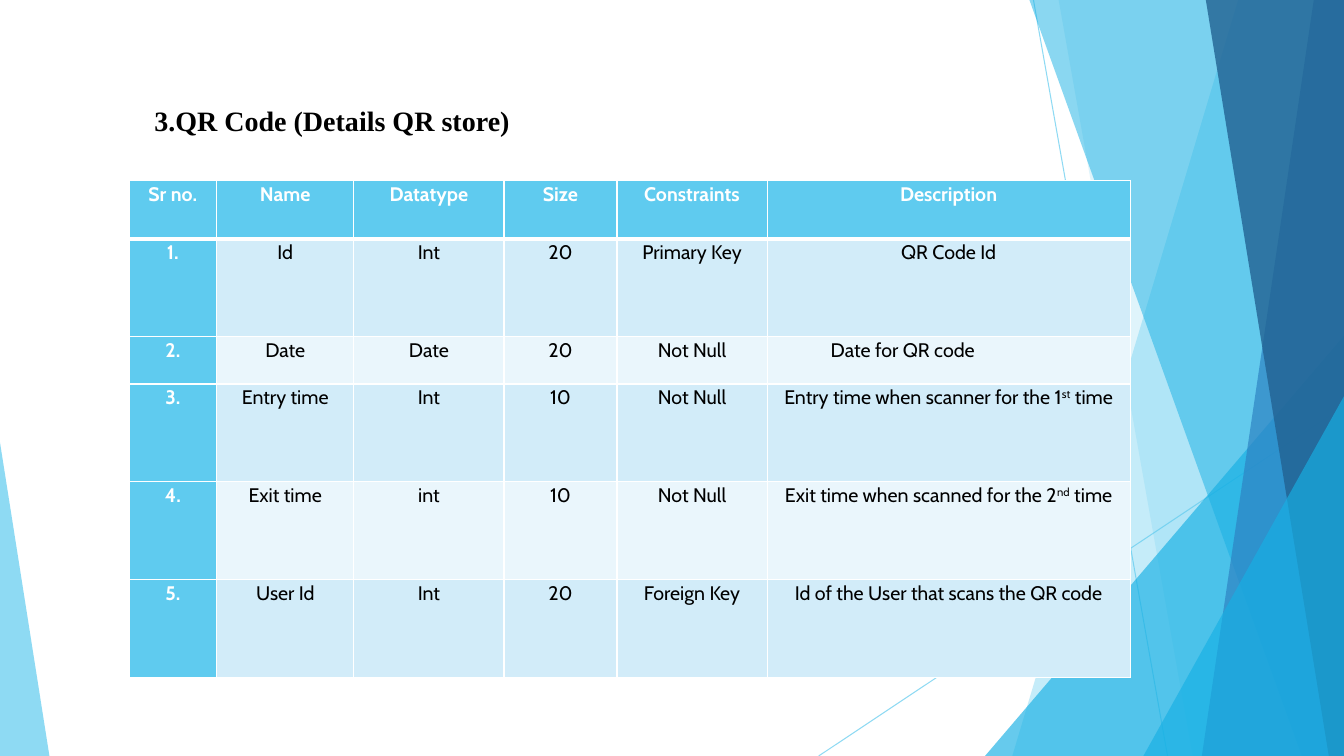
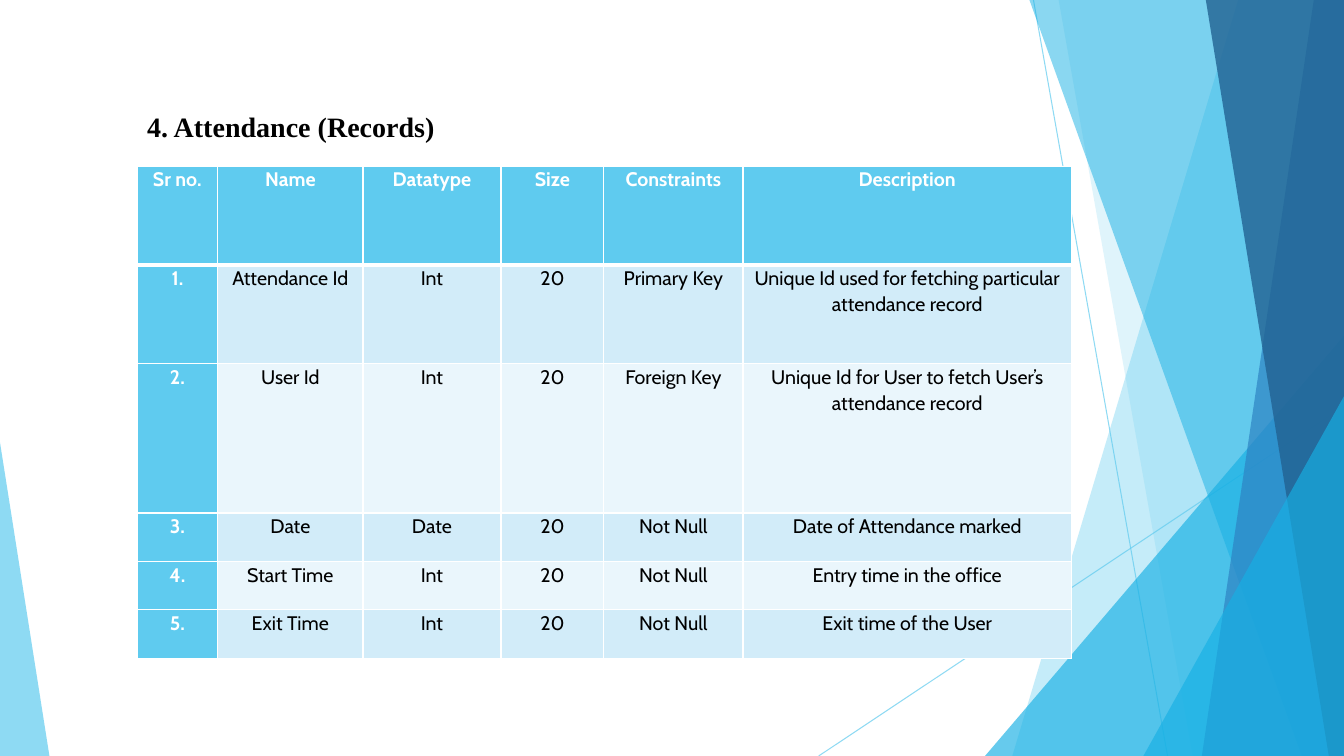
from lxml import etree
from pptx import Presentation
from pptx import util as u
from pptx.dml.color import RGBColor
from pptx.enum import shapes, text
from pptx.oxml.ns import qn

COLORS = {
    "sky": "5FCBEF", "cyan": "17B0E4", "blue": "2E83C3", "navy": "226292",
    "odd": "D2ECF9", "even": "EAF6FC", "white": "FFFFFF", "black": "000000",
}
WIDTH, HEIGHT = 13.33, 7.5

RAYS = [((10.25, 0), (11.58, HEIGHT)), ((WIDTH, 4.03), (8.12, HEIGHT))]
FACETS = [
    ("band", (12.28, 10.04), "sky", 36),
    ("band", (10.5, 11.83), "sky", 20),
    ("triangle", (9.77, 3.33, 3.56, 1), "cyan", 66),
    ("band", (10.21, 12.91), "cyan", 50),
    ("band", (13.03, 11.92), "blue", 70),
    ("band", (11.96, 13.18), "navy", 80),
    ("triangle", (11.34, 3.93, 1.99, 1), "cyan", 66),
    ("triangle", (0, 4.39, 0.49, 0), "sky", 70),
]

HEADINGS = ("Sr no.", "Name", "Datatype", "Size", "Constraints", "Description")
SLIDES = [
    {
        "title": "3.QR Code (Details QR store)",
        "title_at": (1.43, 0.97),
        "table_at": (1.28, 1.79),
        "columns": (0.87, 1.36, 1.49, 1.12, 1.49, 3.6),
        "heights": (0.58, 0.97, 0.47, 0.97, 0.97, 0.97),
        "rows": [
            ("Id", "Int", "20", "Primary Key", "QR Code Id"),
            ("Date", "Date", "20", "Not Null", "Date for QR code"),
            ("Entry time", "Int", "10", "Not Null", "Entry time when scanner for the 1^st^ time"),
            ("Exit time", "int", "10", "Not Null", "Exit time when scanned for the 2^nd^ time"),
            ("User Id", "Int", "20", "Foreign Key", "Id of the User that scans the QR code"),
        ],
        "indents": {(2, 5): 0.63},
    },
    {
        "title": "4. Attendance (Records)",
        "title_at": (1.36, 1.03),
        "table_at": (1.36, 1.65),
        "columns": (0.8, 1.44, 1.37, 1.02, 1.38, 3.26),
        "heights": (0.98, 0.98, 1.48, 0.48, 0.48, 0.48),
        "rows": [
            ("Attendance Id", "Int", "20", "Primary Key",
             "Unique Id used for fetching particular attendance record"),
            ("User Id", "Int", "20", "Foreign Key",
             "Unique Id for User to fetch User’s attendance record"),
            ("Date", "Date", "20", "Not Null", "Date of Attendance marked"),
            ("Start Time", "Int", "20", "Not Null", "Entry time in the office"),
            ("Exit Time", "Int", "20", "Not Null", "Exit time of the User"),
        ],
        "indents": {},
    },
]


def rgb(name):
    return RGBColor.from_string(COLORS[name])


def inches(*values):
    return [u.Inches(value) for value in values]


def write(frame, words, size=14, font="Cabin", color="black", bold=False,
          align=text.PP_ALIGN.CENTER, spacing=1.07):
    para = frame.paragraphs[0]
    para.alignment = align
    para.line_spacing = spacing
    for index, part in enumerate(words.split("^")):
        span = para.add_run()
        span.text = part
        span.font.size = u.Pt(size)
        span.font.name = font
        span.font.bold = bold
        span.font.color.rgb = rgb(color)
        if index % 2:
            span._r.get_or_add_rPr().set("baseline", "30000")


def set_opacity(shape, percent):
    for color in shape.element.iter(qn("a:srgbClr")):
        etree.SubElement(color, qn("a:alpha")).set("val", str(percent * 1000))


def draw_ray(page, start, end):
    ray = page.shapes.add_connector(shapes.MSO_CONNECTOR.STRAIGHT, *inches(*start, *end))
    ray.line.color.rgb = rgb("sky")
    ray.line.width = u.Pt(0.75)
    etree.SubElement(ray.element.spPr, qn("a:effectLst"))
    set_opacity(ray, 70)
    return ray


def draw_facet(page, kind, geometry, color, opacity):
    if kind == "band":
        top, bottom = geometry
        corners = [(WIDTH, 0), (WIDTH, HEIGHT), (bottom, HEIGHT)]
        builder = page.shapes.build_freeform(*inches(top, 0))
        builder.add_line_segments([inches(*corner) for corner in corners], close=True)
        facet = builder.convert_to_shape()
    else:
        left, top, width, apex = geometry
        facet = page.shapes.add_shape(shapes.MSO_SHAPE.ISOSCELES_TRIANGLE,
                                      *inches(left, top, width, HEIGHT - top))
        facet.adjustments[0] = apex
    facet.shadow.inherit = False
    facet.fill.solid()
    facet.fill.fore_color.rgb = rgb(color)
    facet.line.fill.background()
    set_opacity(facet, opacity)
    return facet


def decorate_layout(page):
    parts = [draw_ray(page, *ray) for ray in RAYS]
    parts += [draw_facet(page, *facet) for facet in FACETS]
    for number, part in enumerate(parts, 101):
        part.element.xpath(".//p:cNvPr")[0].set("id", str(number))
        page.slide_layout.shapes.element.append(part.element)


def set_borders(cell, widths):
    properties = cell._tc.get_or_add_tcPr()
    for side, width in widths.items():
        line = etree.SubElement(properties, qn(f"a:ln{side}"), w=str(u.Pt(width)))
        fill = etree.SubElement(line, qn("a:solidFill"))
        etree.SubElement(fill, qn("a:srgbClr"), val=COLORS["white"])


def format_cell(cell, words, row, column, indent):
    heading = row == 0 or column == 0
    cell.margin_left = u.Inches(indent or 0.07)
    cell.margin_right = u.Inches(0.07)
    cell.margin_top = cell.margin_bottom = 0
    set_borders(cell, {"L": 1, "R": 1, "T": 3 if row == 1 else 1, "B": 3 if row == 0 else 1})
    cell.fill.solid()
    cell.fill.fore_color.rgb = rgb("sky" if heading else "odd" if row % 2 else "even")
    write(cell.text_frame, words, color="white" if heading else "black", bold=heading,
          align=text.PP_ALIGN.LEFT if indent else text.PP_ALIGN.CENTER)


def add_fields_table(page, content):
    rows = [HEADINGS] + [(f"{number}.", *row) for number, row in enumerate(content["rows"], 1)]
    columns, heights = content["columns"], content["heights"]
    table = page.shapes.add_table(
        len(rows), len(columns),
        *inches(*content["table_at"], sum(columns), sum(heights))).table
    table.horz_banding = False
    for column, width in zip(table.columns, columns):
        column.width = u.Inches(width)
    for row, height in zip(table.rows, heights):
        row.height = u.Inches(height)
    for r, row in enumerate(rows):
        for c, words in enumerate(row):
            format_cell(table.cell(r, c), words, r, c, content["indents"].get((r, c)))


def add_title(page, content):
    title = page.shapes.title
    title.left, title.top, title.width, title.height = inches(*content["title_at"], 8, 0.44)
    frame = title.text_frame
    frame.word_wrap = True
    frame.auto_size = text.MSO_AUTO_SIZE.NONE
    frame.vertical_anchor = text.MSO_ANCHOR.MIDDLE
    write(frame, content["title"], size=20, font="Times New Roman", bold=True,
          align=text.PP_ALIGN.LEFT, spacing=1.0)


def main():
    deck = Presentation()
    deck.slide_width, deck.slide_height = inches(WIDTH, HEIGHT)
    layout = deck.slide_layouts[5]
    pages = [deck.slides.add_slide(layout) for _ in SLIDES]
    decorate_layout(pages[0])
    for page, content in zip(pages, SLIDES):
        add_title(page, content)
        add_fields_table(page, content)
    deck.save("out.pptx")


if __name__ == "__main__":
    main()
